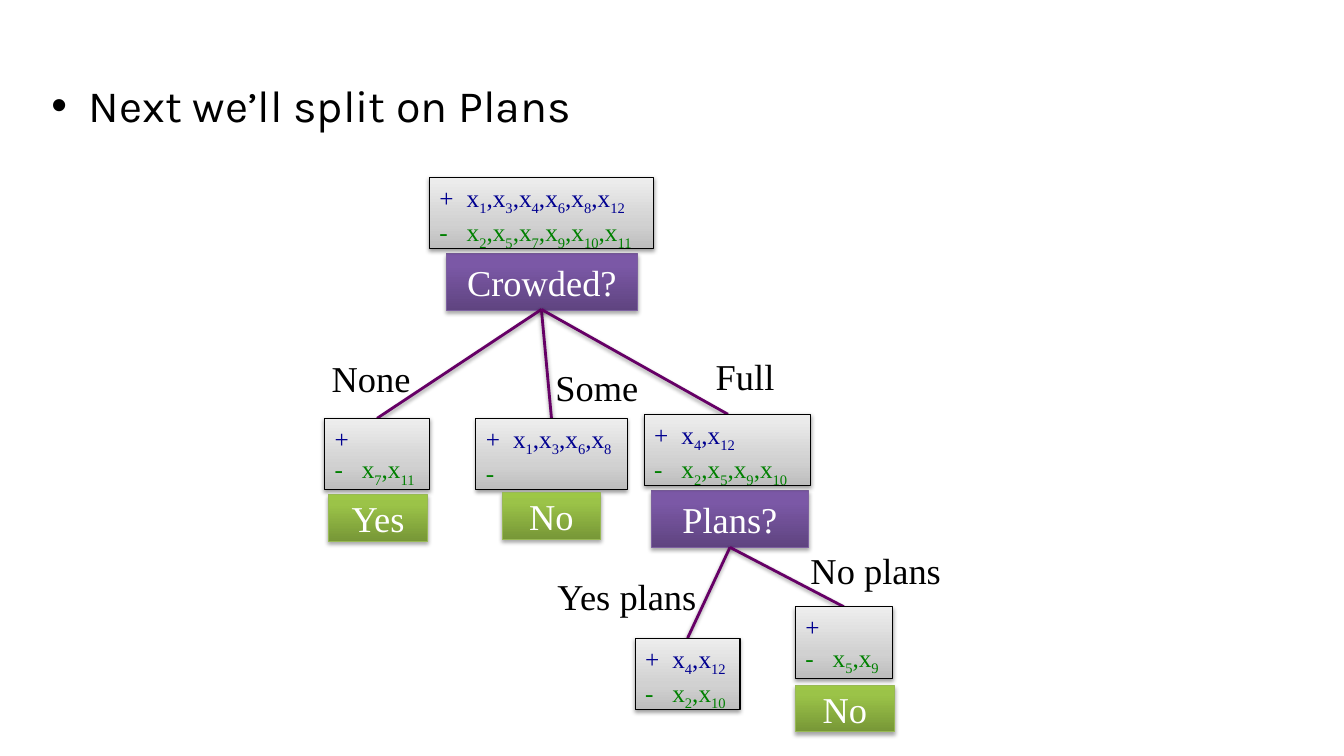
"""Build a slide that shows a decision tree split on Crowded and then Plans."""
from lxml.etree import SubElement
from pptx import Presentation
from pptx.dml.color import RGBColor
from pptx.enum.shapes import MSO_CONNECTOR as CONNECTOR, MSO_SHAPE as SHAPE
from pptx.enum.text import MSO_ANCHOR as ANCHOR, MSO_AUTO_SIZE as AUTO, PP_ALIGN as ALIGN
from pptx.oxml.ns import qn
from pptx.util import Inches, Pt

SERIF = "Times New Roman"
PURPLE = ((0, "5F4480"), (80, "7B58A6"), (100, "7C57A8"))
GREEN = ((0, "779737"), (80, "9BC348"), (100, "9DC746"))
GREY = ((0, "BDBDBD"), (35, "D1D1D1"), (100, "EEEEEE"))

QUESTIONS = [("Crowded?", 4.43, 2.52, 1.89), ("Plans?", 6.46, 4.87, 1.56)]
ANSWERS = [("Yes", 3.26, 4.91), ("No", 4.98, 4.89), ("No", 7.89, 6.8)]
BRANCHES = [
    ((5.37, 3.07), [(3.74, 4.15), (5.47, 4.15), (7.22, 4.11)]),
    ((7.24, 5.43), [(6.82, 6.33), (8.37, 6.02)]),
]
BRANCH_LABELS = [
    ("None", 3.19, 3.48, 1.01),
    ("Some", 5.41, 3.57, 1.03),
    ("Full", 7, 3.46, 0.79),
    ("No plans", 7.94, 5.39, 1.52),
    ("Yes plans", 5.43, 5.65, 1.59),
]
EXAMPLE_SETS = [
    (4.26, 1.76, 2.22, (1, 3, 4, 6, 8, 12), (2, 5, 7, 9, 10, 11)),
    (3.22, 4.15, 1.04, (), (7, 11)),
    (4.72, 4.15, 1.5, (1, 3, 6, 8), ()),
    (6.39, 4.11, 1.65, (4, 12), (2, 5, 9, 10)),
    (7.89, 6.02, 0.96, (), (5, 9)),
    (6.3, 6.33, 1.04, (4, 12), (2, 10)),
]


def rgb(code):
    """Turn a hex string into a colour."""
    return RGBColor.from_string(code)


def set_font(paragraph, name, size, color):
    """Format a whole paragraph."""
    paragraph.font.name = name
    paragraph.font.size = Pt(size)
    paragraph.font.color.rgb = rgb(color)


def set_hanging(paragraph, indent):
    """Hang the first line of a paragraph and return its properties."""
    properties = paragraph._p.get_or_add_pPr()
    properties.set("marL", str(Inches(indent)))
    properties.set("indent", str(-Inches(indent)))
    return properties


def add_shadow(element, opacity, distance):
    """Give a shape or connector element a soft shadow below it."""
    effects = SubElement(element.spPr, qn("a:effectLst"))
    shadow = SubElement(effects, qn("a:outerShdw"), blurRad=str(Pt(3.1)),
                        dist=str(Pt(distance)), dir="5400000", rotWithShape="0")
    color = SubElement(shadow, qn("a:srgbClr"), val="000000")
    SubElement(color, qn("a:alpha"), val=str(opacity * 1000))


def add_box(slide, preset, left, top, width, height, stops, outline, opacity, distance):
    """Add a shape with a vertical gradient, a thin outline and a shadow."""
    box = slide.shapes.add_shape(preset, Inches(left), Inches(top),
                                 Inches(width), Inches(height))
    box.fill.gradient()
    box.fill.gradient_angle = 90
    stop_list = box._element.spPr.find(".//" + qn("a:gsLst"))
    stop_list.clear()
    for position, code in stops:
        stop = SubElement(stop_list, qn("a:gs"), pos=str(position * 1000))
        SubElement(stop, qn("a:srgbClr"), val=code)
    box.line.color.rgb = rgb(outline)
    box.line.width = Pt(0.75)
    add_shadow(box._element, opacity, distance)
    return box


def add_node(slide, text, left, top, width, height, stops, outline):
    """Add a question or answer node."""
    node = add_box(slide, SHAPE.FLOWCHART_PROCESS, left, top, width, height,
                   stops, outline, 35, 1.8)
    node.text_frame.text = text
    node.text_frame.vertical_anchor = ANCHOR.MIDDLE
    caption = node.text_frame.paragraphs[0]
    caption.alignment = ALIGN.CENTER
    set_font(caption, SERIF, 26, "FFFFFF")


def add_branch(slide, parent, child):
    """Join a question to one of its outcomes."""
    branch = slide.shapes.add_connector(CONNECTOR.STRAIGHT, *map(Inches, parent + child))
    branch.line.color.rgb = rgb("660066")
    branch.line.width = Pt(2)
    add_shadow(branch._element, 38, 1.6)


def add_branch_label(slide, text, left, top, width):
    """Add the value that a branch stands for."""
    label = slide.shapes.add_textbox(Inches(left), Inches(top), Inches(width), Inches(0.54))
    label.text_frame.word_wrap = False
    label.text_frame.text = text
    set_font(label.text_frame.paragraphs[0], SERIF, 26, "000000")


def write_examples(paragraph, sign, numbers, color):
    """Write a sign and the examples, with their numbers as subscripts."""
    paragraph.alignment = ALIGN.LEFT
    set_hanging(paragraph, 0.27)
    set_font(paragraph, SERIF, 18, color)
    paragraph.add_run().text = sign
    for position, number in enumerate(numbers):
        paragraph.add_run().text = ",x" if position else "\tx"
        subscript = paragraph.add_run()
        subscript.text = str(number)
        subscript._r.get_or_add_rPr().set("baseline", "-25000")


def add_example_set(slide, left, top, width, positives, negatives):
    """Add the box of positive and negative examples at one node."""
    box = add_box(slide, SHAPE.RECTANGLE, left, top, width, 0.71, GREY, "000000", 38, 1.6)
    frame = box.text_frame
    frame.word_wrap = False
    frame.vertical_anchor = ANCHOR.TOP
    write_examples(frame.paragraphs[0], "+", positives, "000090")
    write_examples(frame.add_paragraph(), "-", negatives, "008000")


def write_body(slide, text):
    """Fill the body placeholder with one bullet and drop the unused title."""
    title = slide.shapes.title._element
    title.getparent().remove(title)
    body = slide.placeholders[1]
    body.left, body.top, body.width, body.height = map(Inches, (0.41, 0.72, 12.6, 6.58))
    body.text_frame.text = text
    body.text_frame.auto_size = AUTO.NONE
    body.text_frame.vertical_anchor = ANCHOR.TOP
    bullet = body.text_frame.paragraphs[0]
    bullet.space_before = Pt(0)
    properties = set_hanging(bullet, 0.37)
    SubElement(properties, qn("a:buFont"), typeface="Arial")
    SubElement(properties, qn("a:buChar"), char="•")
    set_font(bullet, "Karla", 32, "000000")


def main():
    """Build and save the slide."""
    deck = Presentation()
    deck.slide_width, deck.slide_height = Inches(13.33), Inches(7.5)
    slide = deck.slides.add_slide(deck.slide_layouts.get_by_name("Title and Content"))
    write_body(slide, "Next we’ll split on Plans")
    for text, left, top, width in QUESTIONS:
        add_node(slide, text, left, top, width, 0.56, PURPLE, "7D60A0")
    for parent, children in BRANCHES:
        for child in children:
            add_branch(slide, parent, child)
    for label in BRANCH_LABELS:
        add_branch_label(slide, *label)
    for examples in EXAMPLE_SETS:
        add_example_set(slide, *examples)
    for text, left, top in ANSWERS:
        add_node(slide, text, left, top, 0.98, 0.46, GREEN, "98B955")
    deck.save("out.pptx")


if __name__ == "__main__":
    main()
